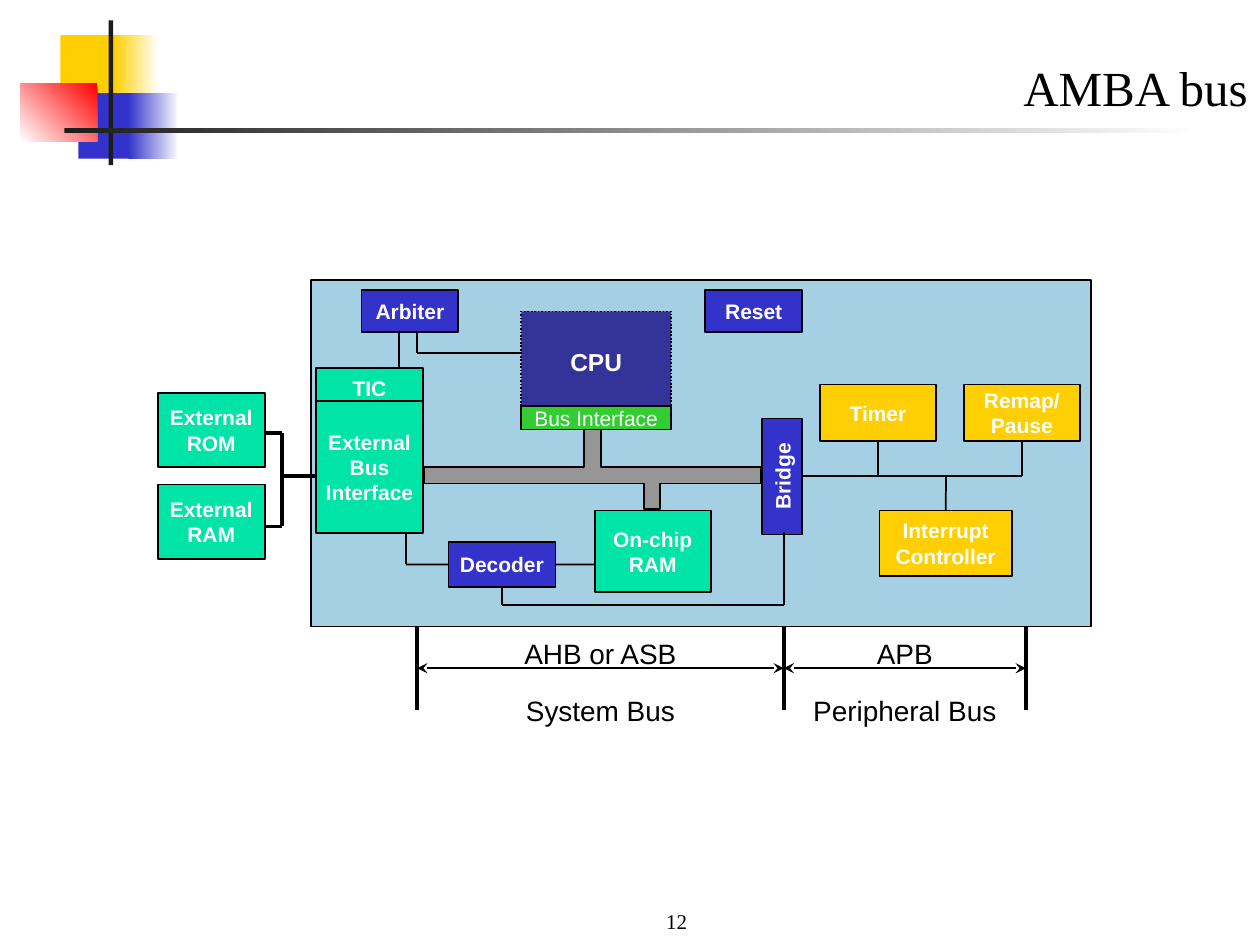
from pptx import Presentation
from pptx.dml.color import RGBColor
from pptx.enum.dml import MSO_LINE
from pptx.enum.shapes import MSO_CONNECTOR, MSO_SHAPE
from pptx.enum.text import MSO_ANCHOR as Anchor, PP_ALIGN as Align
from pptx.oxml.ns import qn
from pptx.util import Cm, Pt
from lxml.etree import SubElement

BLACK, WHITE, DARK = "000000", "FFFFFF", "1C1C1C"
YELLOW, BLUE, GREEN = "FFCF01", "3333CC", "00E4A8"
TOP, LEFT, BOTTOM, RIGHT = range(4)


def color(value):
    return RGBColor.from_string(value)


def write(shape, text, size, ink, font="Arial", bold=False, align=Align.CENTER,
          anchor=Anchor.MIDDLE, wrap=False):
    frame = shape.text_frame
    frame.word_wrap = wrap
    frame.vertical_anchor = anchor
    for index, words in enumerate(text.split("\n")):
        para = frame.paragraphs[0] if index == 0 else frame.add_paragraph()
        para.text = words
        para.alignment = align
        para.font.name, para.font.size, para.font.bold = font, Pt(size), bold
        para.font.color.rgb = color(ink)
    return frame


def add_label(page, left, top, width, height, text, size, **style):
    box = page.shapes.add_textbox(Cm(left), Cm(top), Cm(width), Cm(height))
    write(box, text, size, BLACK, **style)


def paint(shape, fill, outline=None):
    shape.shadow.inherit = False
    shape.fill.solid()
    shape.fill.fore_color.rgb = color(fill)
    if outline:
        shape.line.color.rgb = color(outline)
        shape.line.width = Pt(1)
    else:
        shape.line.fill.background()


def add_rect(page, left, top, width, height, fill, outline=None):
    rect = page.shapes.add_shape(MSO_SHAPE.RECTANGLE, Cm(left), Cm(top),
                                 Cm(width), Cm(height))
    paint(rect, fill, outline)
    return rect


def add_fade(page, left, top, width, height, start, angle=0):
    rect = add_rect(page, left, top, width, height, start)
    rect.fill.gradient()
    rect.fill.gradient_angle = angle
    for stop, value in zip(rect.fill.gradient_stops, (start, WHITE)):
        stop.color.rgb = color(value)


def add_block(page, left, top, width, height, text, fill, size=12, bold=True):
    block = add_rect(page, left, top, width, height, fill, BLACK)
    frame = write(block, text, size, WHITE, bold=bold)
    frame.margin_left = frame.margin_right = Cm(0.2)
    frame.margin_top = frame.margin_bottom = Cm(0.1)
    return block


def add_wire(page, left, top, points, width=1, start=None, end=None, arrows=False):
    """Join the points with straight lines; start and end are (block, side)."""
    lines = []
    for (x1, y1), (x2, y2) in zip(points, points[1:]):
        line = page.shapes.add_connector(
            MSO_CONNECTOR.STRAIGHT, Cm(left + x1), Cm(top + y1),
            Cm(left + x2), Cm(top + y2))
        line.line.color.rgb = color(BLACK)
        line.line.width = Pt(width)
        if arrows:
            outline = line.line._get_or_add_ln()
            for tag in ("a:headEnd", "a:tailEnd"):
                SubElement(outline, qn(tag), type="stealth")
        SubElement(line._element.spPr, qn("a:effectLst"))
        lines.append(line)
    if start:
        lines[0].begin_connect(*start)
    if end:
        lines[-1].end_connect(*end)


def draw_ornament(page, left, top):
    # Solid squares and their fading edges
    add_rect(page, left + 0.81, top + 0.3, 1.22, 1.32, YELLOW)
    add_fade(page, left + 1.88, top + 0.3, 0.91, 1.32, YELLOW)
    add_rect(page, left + 1.17, top + 1.47, 1.17, 1.32, BLUE)
    add_fade(page, left + 2.18, top + 1.47, 1.02, 1.32, BLUE)
    add_fade(page, left, top + 1.27, 1.55, 1.17, "FF0000", 225)
    # Crossing bars
    add_rect(page, left + 1.78, top, 0.09, 2.92, DARK)
    add_fade(page, left + 0.89, top + 2.18, 22.86, 0.09, DARK)


def draw_chip(page, left, top, width, height):
    add_rect(page, left, top, width, height, "A5D0E3", BLACK)

    def block(x, y, *rest, **style):
        return add_block(page, left + x, top + y, *rest, **style)

    def wire(*points, **joints):
        add_wire(page, left, top, points, **joints)

    # System bus
    outline = [(5.51, 2.59), (5.84, 2.59), (5.84, 3.78), (9.07, 3.78),
               (9.07, 4.11), (7.04, 4.11), (7.04, 4.62), (6.71, 4.62),
               (6.71, 4.11), (2.29, 4.11), (2.29, 3.78), (5.51, 3.78)]
    corners = [(Cm(left + x), Cm(top + y)) for x, y in outline]
    builder = page.shapes.build_freeform(*corners[0])
    builder.add_line_segments(corners[1:], close=True)
    paint(builder.convert_to_shape(), "969696", BLACK)

    # Processor and system blocks
    processor = block(4.24, 0.64, 3.02, 2.01, "CPU", "333399", size=14)
    processor.line.dash_style = MSO_LINE.ROUND_DOT
    block(4.24, 2.54, 3.02, 0.48, "Bus Interface", "33CC33", bold=False)
    block(1.02, 0.2, 1.95, 0.86, "Arbiter", BLUE)
    block(7.95, 0.2, 1.95, 0.86, "Reset", BLUE)
    block(0.1, 1.78, 2.16, 0.81, "TIC", GREEN)
    block(0.1, 2.44, 2.16, 2.67, "External\nBus\nInterface", GREEN)
    block(5.72, 4.65, 2.34, 1.65, "On-chip\nRAM", GREEN)
    decoder = block(2.77, 5.28, 2.16, 0.92, "Decoder", BLUE)
    block(8.33, 3.56, 2.34, 0.81, "Bridge", BLUE).rotation = 270

    # Peripherals
    timer = block(10.26, 2.11, 2.34, 1.14, "Timer", YELLOW)
    remap = block(13.16, 2.11, 2.34, 1.14, "Remap/\nPause", YELLOW)
    interrupt = block(11.46, 4.65, 2.67, 1.32, "Interrupt\nController", YELLOW)

    # Arbiter and decoder wiring
    wire((1.78, 1.07), (1.78, 1.76))
    wire((2.13, 1.07), (2.13, 1.47), (4.24, 1.47))
    wire((1.91, 5.11), (1.91, 5.74), (2.77, 5.74), end=(decoder, LEFT))
    wire((4.93, 5.74), (5.72, 5.74), start=(decoder, RIGHT))
    wire((3.85, 6.2), (3.85, 6.55), (9.53, 6.55), (9.53, 5.08),
         start=(decoder, BOTTOM))

    # Peripheral bus wiring
    wire((14.33, 3.25), (14.33, 3.96), (9.91, 3.96), start=(remap, BOTTOM))
    wire((11.43, 3.25), (11.43, 3.96), start=(timer, BOTTOM))
    wire((12.8, 3.96), (12.8, 4.65), end=(interrupt, TOP))


def draw_external_memory(page, left, top):
    for row, name in enumerate(("ROM", "RAM")):
        add_block(page, left, top + 1.85 * row, 2.16, 1.5, f"External\n{name}", GREEN)
    bracket = [(2.18, 0.81), (2.51, 0.81), (2.51, 2.69), (2.18, 2.69)]
    add_wire(page, left, top, bracket, width=2)
    add_wire(page, left, top, [(2.51, 1.68), (3.2, 1.68)], width=2)


def draw_bus_spans(page, left, top, height):
    ticks = (0, 7.39, 12.27)
    names = (("AHB or ASB", "System Bus"), ("APB", "Peripheral Bus"))
    middle = height / 2
    for x in ticks:
        add_wire(page, left, top, [(x, 0), (x, height)], width=2)
    for x1, x2, (upper, lower) in zip(ticks, ticks[1:], names):
        add_wire(page, left, top, [(x1, middle), (x2, middle)], arrows=True)
        add_label(page, left + (x1 + x2 - 5.72) / 2, top + 0.08, 5.72, 0.94,
                  upper, 16, anchor=Anchor.TOP, wrap=True)
        add_label(page, left + x1, top + middle, x2 - x1, height, lower, 16)


def main():
    deck = Presentation()
    deck.slide_width, deck.slide_height = Cm(25.4), Cm(19.05)
    page = deck.slides.add_slide(deck.slide_layouts[6])
    serif = dict(font="Times New Roman", anchor=Anchor.BOTTOM, wrap=True)

    draw_ornament(page, 0.41, 0.41)
    add_label(page, 3.48, 0.41, 21.92, 2.06, "AMBA bus", 28, align=Align.RIGHT, **serif)
    draw_chip(page, 6.27, 5.64, 15.72, 6.99)
    draw_external_memory(page, 3.18, 7.92)
    draw_bus_spans(page, 8.41, 12.62, 1.7)
    add_label(page, 11, 17.68, 5.28, 1.27, "12", 12, **serif)
    deck.save("out.pptx")


if __name__ == "__main__":
    main()
